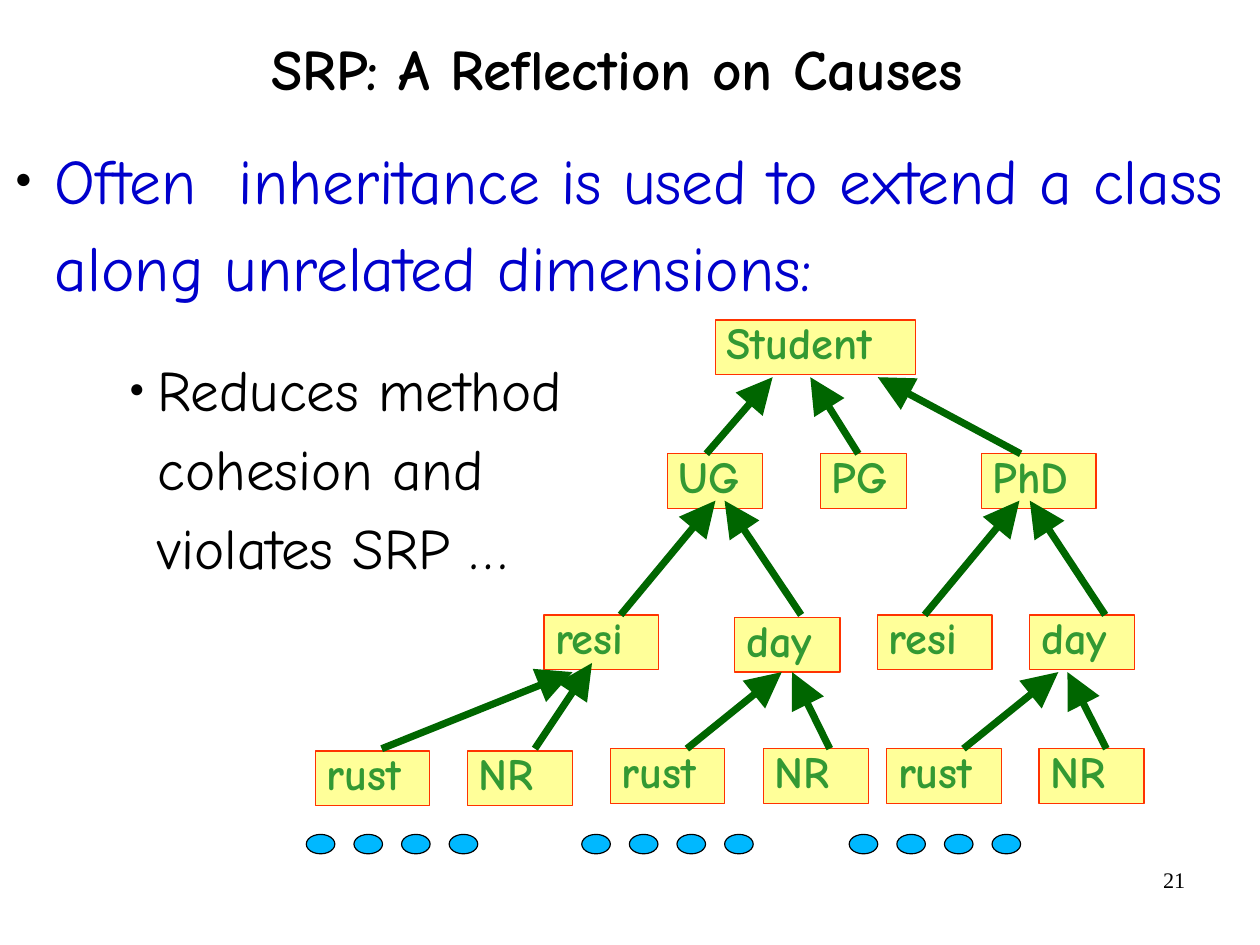
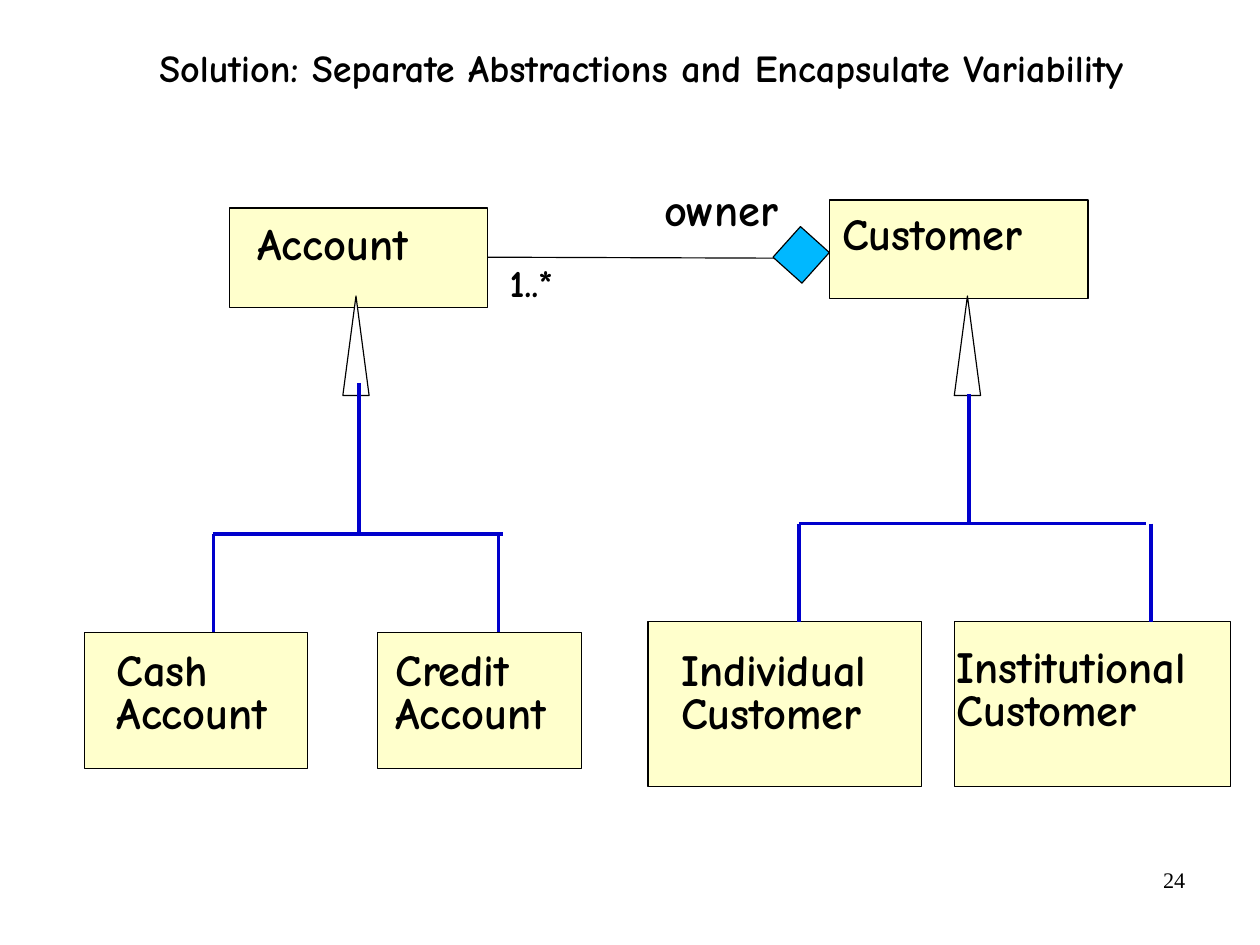
from dataclasses import dataclass

from lxml import etree
from pptx import Presentation
from pptx.dml.color import RGBColor
from pptx.enum.shapes import MSO_CONNECTOR, MSO_SHAPE
from pptx.enum.text import MSO_ANCHOR, MSO_AUTO_SIZE, PP_ALIGN
from pptx.oxml.ns import qn
from pptx.util import Emu, Inches, Pt

SLIDE_SIZE = {"slide_width": Emu(10080625), "slide_height": Emu(7559675)}
HAND = "Comic Neue"
SERIF = "Times New Roman"
BLACK, WHITE = "000000", "FFFFFF"
BLUE, CYAN = "0000CC", "00B8FF"
YELLOW, CREAM = "FFFF99", "FFFFCC"
RED, GREEN, DARK_GREEN = "FF3300", "339933", "006600"

NODE_HEIGHT = 0.48
NODE_WIDTHS = {"Student": 1.75, "UG": 0.83, "PG": 0.75, "PhD": 1,
               "resi": 1, "day": 0.92, "rust": 1, "NR": 0.92}


@dataclass
class Node:
    label: str
    left: float
    arrow_start: float
    arrow_tip: float
    drop: float = 0
    overlap: float = 0


LEVELS = [
    (3.97, 3.3, [Node("UG", 5.84, 6.18, 6.76),
                 Node("PG", 7.18, 7.51, 7.09),
                 Node("PhD", 8.59, 8.93, 7.68)]),
    (5.38, 4.38, [Node("resi", 4.76, 5.43, 6.26),
                  Node("day", 6.43, 7.01, 6.34, drop=0.02),
                  Node("resi", 7.68, 8.09, 8.92),
                  Node("day", 9.01, 9.67, 9.01)]),
    (6.55, 5.88, [Node("rust", 2.76, 3.34, 5.01, drop=0.02),
                  Node("NR", 4.09, 4.68, 5.18, drop=0.02, overlap=0.08),
                  Node("rust", 5.34, 6.01, 6.84),
                  Node("NR", 6.68, 7.26, 6.93),
                  Node("rust", 7.76, 8.43, 9.26),
                  Node("NR", 9.09, 9.68, 9.34)]),
]

CLASSES = [
    ("Account", (2.01, 1.82, 2.26, 0.87), (0.24, 0.07), 1.0),
    ("Customer", (7.26, 1.75, 2.26, 0.86), (0.11, 0.05), 1.0),
    ("Cash\nAccount", (0.74, 5.53, 1.95, 1.19), (0.28, 0.18), 0.8),
    ("Credit\nAccount", (3.3, 5.53, 1.79, 1.19), (0.16, 0.18), 0.8),
    ("Individual\nCustomer", (5.67, 5.44, 2.39, 1.44), (0.29, 0.27), 0.8),
    ("Institutional\nCustomer", (8.35, 5.44, 2.42, 1.44), (0.02, 0.24), 0.8),
]


def rgb(value):
    return RGBColor.from_string(value)


def inches(values):
    return [Inches(value) for value in values]


def apply(target, values):
    for name, value in values.items():
        setattr(target, name, value)


def format_frame(frame, insets, anchor=MSO_ANCHOR.TOP):
    left, top, right, bottom = inches(insets)
    apply(frame, {"margin_left": left, "margin_top": top,
                  "margin_right": right, "margin_bottom": bottom,
                  "word_wrap": True, "auto_size": MSO_AUTO_SIZE.NONE,
                  "vertical_anchor": anchor})


def format_paragraph(paragraph, size, color=BLACK, font=HAND, bold=False, **layout):
    apply(paragraph, layout)
    for run in paragraph.runs:
        apply(run.font, {"size": Pt(size), "name": font, "bold": bold})
        run.font.color.rgb = rgb(color)


def write(frame, text, size, insets=(0.1, 0.05, 0.1, 0.05),
          anchor=MSO_ANCHOR.TOP, **look):
    format_frame(frame, insets, anchor)
    frame.text = text
    for paragraph in frame.paragraphs:
        format_paragraph(paragraph, size, **look)


def add_bullet(paragraph, left, hanging):
    properties = paragraph._p.get_or_add_pPr()
    properties.set("marL", str(Inches(left)))
    properties.set("indent", str(-Inches(hanging)))
    color = etree.SubElement(properties, qn("a:buClr"))
    etree.SubElement(color, qn("a:srgbClr"), val=BLACK)
    etree.SubElement(properties, qn("a:buSzPct"), val="45000")
    etree.SubElement(properties, qn("a:buFont"), typeface=SERIF)
    etree.SubElement(properties, qn("a:buChar"), char="●")


def add_box(slide, bounds, fill, outline=BLACK, kind=MSO_SHAPE.RECTANGLE):
    box = slide.shapes.add_shape(kind, *inches(bounds))
    box.shadow.inherit = False
    box.fill.solid()
    box.fill.fore_color.rgb = rgb(fill)
    box.line.color.rgb = rgb(outline)
    box.line.width = Pt(0.75)
    return box


def add_line(slide, start, end, color, width, arrow=False):
    line = slide.shapes.add_connector(MSO_CONNECTOR.STRAIGHT, *inches(start + end))
    line.line.color.rgb = rgb(color)
    line.line.width = Pt(width)
    if arrow:
        etree.SubElement(line.line._get_or_add_ln(), qn("a:tailEnd"),
                         type="triangle", w="lg", len="lg")
    etree.SubElement(line._element.spPr, qn("a:effectLst"))


def add_label(slide, bounds, text, size, **look):
    label = slide.shapes.add_textbox(*inches(bounds))
    write(label.text_frame, text, size, **look)


def add_titled_slide(deck, title, bounds, size, spacing, number):
    slide = deck.slides.add_slide(deck.slide_layouts[5])
    heading = slide.shapes.title
    left, top, width, height = inches(bounds)
    apply(heading, {"left": left, "top": top, "width": width, "height": height})
    write(heading.text_frame, title, size, (0, 0, 0, 0), MSO_ANCHOR.MIDDLE,
          bold=True, alignment=PP_ALIGN.CENTER, line_spacing=spacing)
    add_label(slide, (7.9, 7.53, 2.57, 0.57), number, 14,
              font=SERIF, alignment=PP_ALIGN.RIGHT)
    return slide


def add_points(slide):
    frame = slide.shapes.add_textbox(*inches((0.13, 1.13, 10.76, 6.58))).text_frame
    format_frame(frame, (0, 0, 0, 0))
    point, detail = frame.paragraphs[0], frame.add_paragraph()
    point.text = "Often  inheritance is used to extend a class along unrelated dimensions:"
    detail.text = "Reduces method\vcohesion and\vviolates SRP …"
    add_bullet(point, 0.35, 0.35)
    add_bullet(detail, 1.25, 0.25)
    format_paragraph(point, 40, BLUE, line_spacing=1.15, space_after=Pt(16))
    format_paragraph(detail, 36, level=1, line_spacing=1.15,
                     space_before=Pt(9), space_after=Pt(16))


def add_node(slide, label, left, top):
    bounds = (left, top, NODE_WIDTHS[label], NODE_HEIGHT)
    node = add_box(slide, bounds, YELLOW, RED)
    write(node.text_frame, label, 28, color=GREEN, bold=True,
          alignment=PP_ALIGN.LEFT, line_spacing=0.8)


def add_student_tree(slide):
    add_node(slide, "Student", 6.26, 2.8)
    for top, tip, nodes in LEVELS:
        for node in nodes:
            add_node(slide, node.label, node.left, top + node.drop)
        for node in nodes:
            add_line(slide, (node.arrow_start, top),
                     (node.arrow_tip, tip - node.overlap), DARK_GREEN, 4.5, arrow=True)


def add_continuation_dots(slide):
    for group_left in (2.68, 5.09, 7.43):
        for index in range(4):
            bounds = (group_left + index * 1.25 / 3, 7.3, 0.25, 0.17)
            add_box(slide, bounds, CYAN, kind=MSO_SHAPE.OVAL)


def add_class(slide, name, bounds, offset, spacing):
    box = add_box(slide, bounds, CREAM)
    write(box.text_frame, name, 28, (*offset, 0, 0), bold=True,
          alignment=PP_ALIGN.LEFT, line_spacing=spacing)


def add_generalization(slide, triangle_left, stem, stem_top, bar, bar_y, children, child_top):
    add_box(slide, (triangle_left, 2.59, 0.23, 0.87), WHITE,
            kind=MSO_SHAPE.ISOSCELES_TRIANGLE)
    bar_left, bar_right = bar
    segments = [((stem, stem_top), (stem, bar_y)),
                ((bar_left, bar_y), (bar_right, bar_y))]
    segments += [((child, bar_y), (child, child_top)) for child in children]
    for start, end in segments:
        add_line(slide, start, end, BLUE, 2.25)


def add_ownership(slide):
    add_line(slide, (4.27, 2.25), (7.21, 2.26), BLACK, 0.75)
    diamond = add_box(slide, (6.84, 2.05, 0.34, 0.36), CYAN)
    diamond.rotation = 41.9
    for bounds, text, size in (((5.7, 1.63, 1.39, 0.88), "owner", 28),
                               ((4.35, 2.3, 0.95, 0.88), "1..*", 24)):
        add_label(slide, bounds, text, size, insets=(0.11, 0.05, 0.11, 0.05),
                  bold=True, line_spacing=0.8)


def build_causes(deck):
    slide = add_titled_slide(deck, "SRP: A Reflection on Causes",
                             (0.7, -0.05, 9.4, 1.37), 36, 0.88, "21")
    add_points(slide)
    add_student_tree(slide)
    add_continuation_dots(slide)


def build_solution(deck):
    slide = add_titled_slide(
        deck, "Solution: Separate Abstractions and Encapsulate Variability",
        (0.91, 0.28, 9.4, 0.69), 24, 0.8, "24")
    for name, bounds, offset, spacing in CLASSES:
        add_class(slide, name, bounds, offset, spacing)
    add_ownership(slide)
    add_generalization(slide, 3, 3.14, 3.35, (1.86, 4.4), 4.67, (1.87, 4.36), 5.53)
    add_generalization(slide, 8.35, 8.48, 3.45, (6.99, 10.03), 4.58, (6.99, 10.07), 5.44)


def main():
    deck = Presentation()
    apply(deck, SLIDE_SIZE)
    build_causes(deck)
    build_solution(deck)
    deck.save("out.pptx")


if __name__ == "__main__":
    main()
